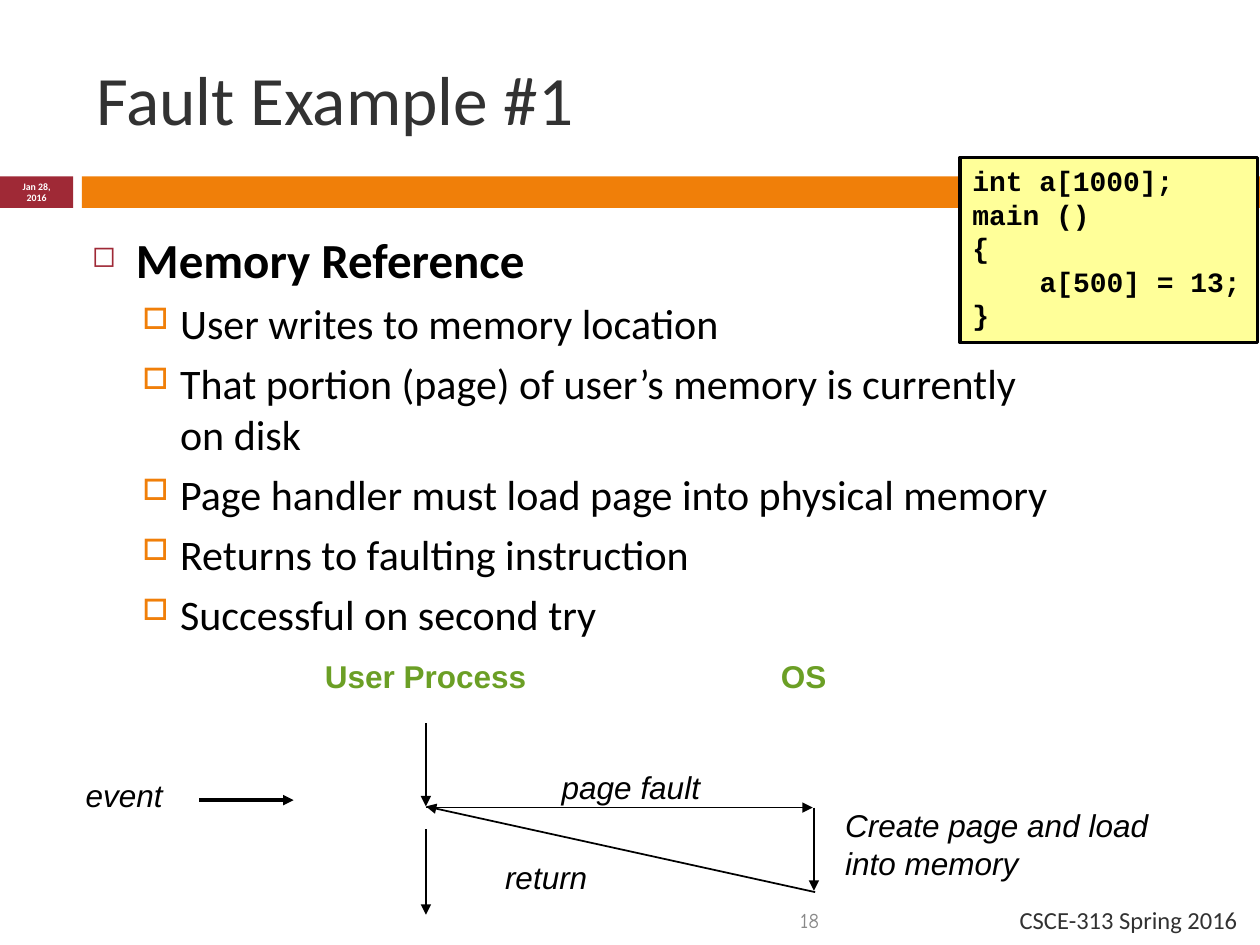
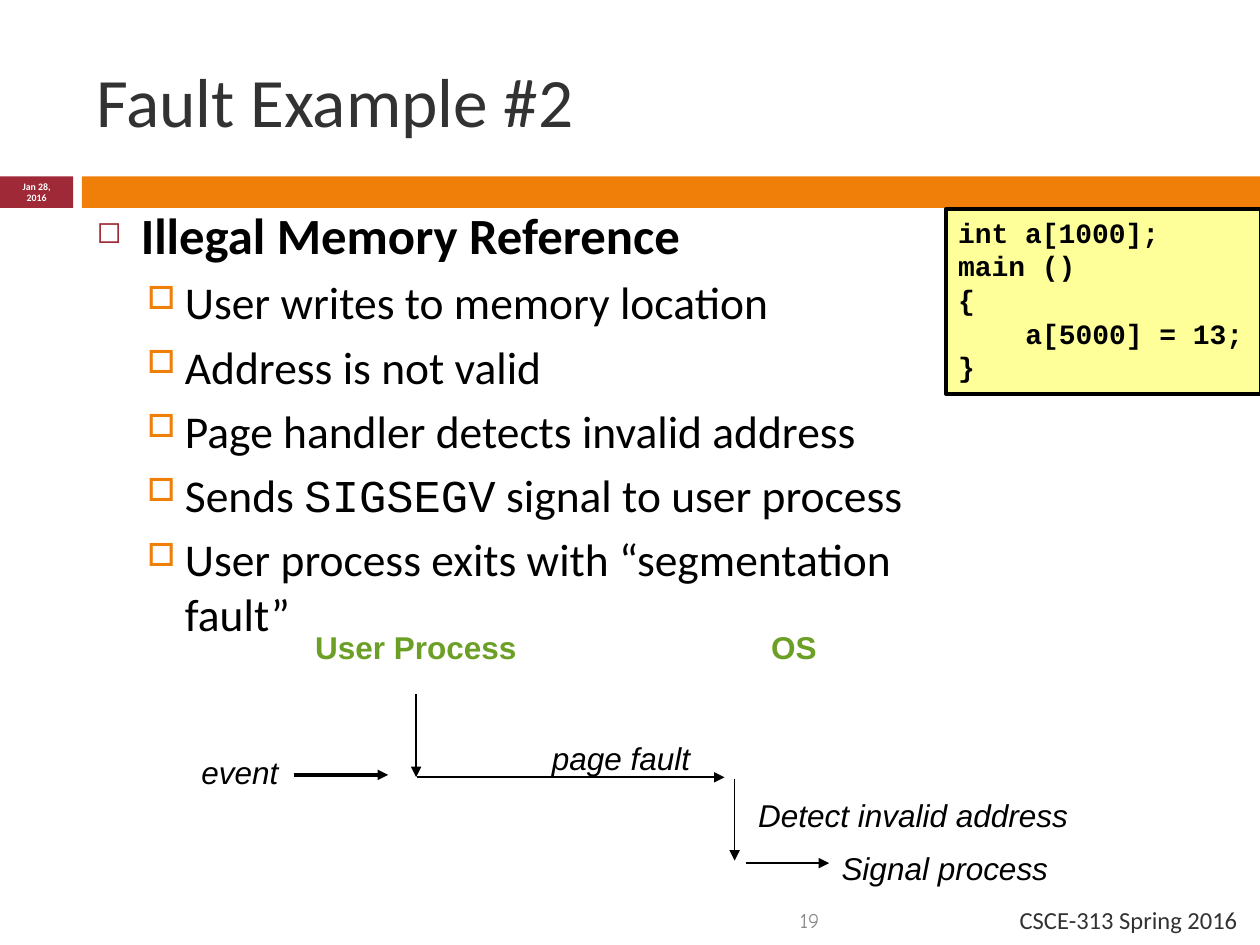
from collections import namedtuple
from lxml import etree
from pptx import Presentation
from pptx.dml.color import RGBColor
from pptx.enum import shapes as kinds, text as tx
from pptx.oxml import ns
from pptx.util import Pt

Style = namedtuple("Style", "font size color bold italic", defaults=(False, False))


class Theme:
    red, orange, yellow, black = "9F2936", "F07F09", "FFFF99", "000000"
    mono = "Courier New"
    title = Style("Calibri", 39.6, "323232")
    body = Style("Calibri", 24, black)
    code = Style(mono, 16, black, bold=True)
    head = Style("Arial", 18, "6B9F25", bold=True)
    note = Style("Arial", 18, black, italic=True)
    date = Style("Calibri", 5.6, "FFFFFF", bold=True)
    course = Style("Calibri", 14, "323232")
    page = Style("Comic Neue", 12, "898989")
    # glyph, colour, percent of text size, left margin, hanging indent, space before
    marks = [("◻", red, 60, 25.2, -25.2, 7), ("□", orange, 70, 50.4, -21.6, 5.5)]


def write(shape, lines, align="LEFT", anchor="TOP", wrap=True):
    """Fill a shape with (words, style) lines; words between backticks are set in mono."""
    frame = shape.text_frame
    frame.word_wrap = wrap
    frame.vertical_anchor = tx.MSO_ANCHOR[anchor]
    for n, (words, style) in enumerate(lines):
        para = frame.paragraphs[0] if n == 0 else frame.add_paragraph()
        para.alignment = tx.PP_ALIGN[align]
        for i, part in enumerate(words.split("`")):
            run = para.add_run()
            run.text = part
            font = run.font
            font.name = Theme.mono if i % 2 else style.font
            font.size = Pt(style.size)
            font.bold, font.italic = style.bold, style.italic
            font.color.rgb = RGBColor.from_string(style.color)
    return frame.paragraphs


def block(slide, box, fill):
    shape = slide.shapes.add_shape(kinds.MSO_SHAPE.RECTANGLE, *map(Pt, box))
    shape.shadow.inherit = False
    shape.fill.solid()
    shape.fill.fore_color.rgb = RGBColor.from_string(fill)
    shape.line.fill.background()
    return shape


pages = [
    dict(
        title="Fault Example #1", top=33.1, number="18", shift=(0, 0),
        body=(45.4, 127.4, 572.4, 246.2), sizes=(28, 24),
        points=["Memory Reference", "User writes to memory location",
                "That portion (page) of user’s memory is currently on disk",
                "Page handler must load page into physical memory",
                "Returns to faulting instruction", "Successful on second try"],
        code=(548.6, 90, 169.9, 105.8), index=500,
        labels=[("Create page and load into memory", 475.9, 457.2, 198.7),
                ("return", 281.5, 486.7, 61.2), ("event", 41.8, 439.9, 63.4)],
        arrows=[(243.4, 461.5, 464.4, 461.5, 1), (465.1, 461.5, 465.1, 509, 1),
                (465.8, 509.8, 243.4, 460.8, 1), (243.4, 473.8, 243.4, 522.7, 1),
                (113.8, 457.2, 167.8, 457.2, 2)],
    ),
    dict(
        title="Fault Example #2", top=33.8, number="19", shift=(-5.6, -16.7),
        body=(48.2, 113, 527.8, 287.3), sizes=(29, 26),
        points=["Illegal Memory Reference", "User writes to memory location",
                "Address is not valid", "Page handler detects invalid address",
                "Sends `SIGSEGV` signal to user process",
                "User process exits with “segmentation fault”"],
        code=(540.5, 119.5, 180, 105.8), index=5000,
        labels=[("Detect invalid address", 426.2, 451.4, 198.7),
                ("Signal process", 473.8, 481.7, 198.7), ("event", 108, 427, 63.4)],
        arrows=[(238.3, 444.2, 414, 444.2, 1), (419.8, 445, 419.8, 491.8, 1),
                (426.2, 493.2, 473.8, 493.2, 1), (167.8, 442.8, 221.8, 442.8, 2)],
    ),
]
# The start of the diagram is the same on both slides, only shifted
heads = [("User Process", 178.6, 372.2, 129.6, Theme.head),
         ("OS", 439.2, 372.2, 40.3, Theme.head),
         ("page fault", 313.9, 435.6, 93.6, Theme.note)]
entry = (243.4, 413.3, 243.4, 460.8)

deck = Presentation()
deck.slide_width, deck.slide_height = Pt(720), Pt(540)

for page in pages:
    slide = deck.slides.add_slide(deck.slide_layouts[6])
    add = slide.shapes.add_textbox
    block(slide, (0, 100.8, 41.8, 18), Theme.red)
    block(slide, (46.8, 100.8, 673.2, 18), Theme.orange)
    box = add(Pt(48), Pt(page["top"]), Pt(374.4), Pt(46.1))
    write(box, [(page["title"], Theme.title)], anchor="MIDDLE")

    # Diagram
    dx, dy = page["shift"]
    labels = [(words, x + dx, y + dy, w, style) for words, x, y, w, style in heads]
    labels += [(*label, Theme.note) for label in page["labels"]]
    for words, x, y, w, style in labels:
        box = add(Pt(x), Pt(y), Pt(w), Pt(28.8))
        write(box, [(words, style)], wrap=w > 190)
    x1, y1, x2, y2 = entry
    for *ends, width in [(x1 + dx, y1 + dy, x2 + dx, y2 + dy, 1), *page["arrows"]]:
        arrow = slide.shapes.add_connector(kinds.MSO_CONNECTOR.STRAIGHT, *map(Pt, ends))
        arrow.line.width = Pt(width)
        arrow.line.color.rgb = RGBColor.from_string(Theme.black)
        etree.SubElement(arrow.line._get_or_add_ln(), ns.qn("a:tailEnd"), type="triangle")
        etree.SubElement(arrow._element.spPr, ns.qn("a:effectLst"))

    # Bulleted body
    big, small = page["sizes"]
    first, *rest = page["points"]
    lines = [(first, Theme.body._replace(size=big, bold=True))]
    lines += [(words, Theme.body._replace(size=small)) for words in rest]
    paras = write(add(*map(Pt, page["body"])), lines)
    for n, para in enumerate(paras):
        para.level = min(n, 1)
        glyph, color, scale, left, hang, gap = Theme.marks[para.level]
        para.space_before = Pt(gap)
        props = para._p.get_or_add_pPr()
        props.set("marL", str(Pt(left)))
        props.set("indent", str(Pt(hang)))
        tint = etree.SubElement(props, ns.qn("a:buClr"))
        etree.SubElement(tint, ns.qn("a:srgbClr"), val=color)
        etree.SubElement(props, ns.qn("a:buSzPct"), val=str(scale * 1000))
        etree.SubElement(props, ns.qn("a:buChar"), char=glyph)

    # Code listing
    card = block(slide, page["code"], Theme.yellow)
    card.line.color.rgb = RGBColor.from_string(Theme.black)
    card.line.width = Pt(2)
    code = ["int a[1000];", "main ()", "{", f"a[{page['index']}] = 13;", "}"]
    paras = write(card, [(words, Theme.code) for words in code])
    paras[3]._p.get_or_add_pPr().set("marL", str(Pt(38.4)))

    # Date, course and page number
    for words, style, align, spot in [
        ("Jan 28, 2016", Theme.date, "CENTER", (0, 100.1, 41.8, 19.4)),
        ("CSCE-313 Spring 2016", Theme.course, "RIGHT", (504, 511.2, 210.2, 28.8)),
        (page["number"], Theme.page, "RIGHT", (48.2, 511.2, 427, 28.8)),
    ]:
        write(add(*map(Pt, spot)), [(words, style)], align, "MIDDLE")

deck.save("out.pptx")
